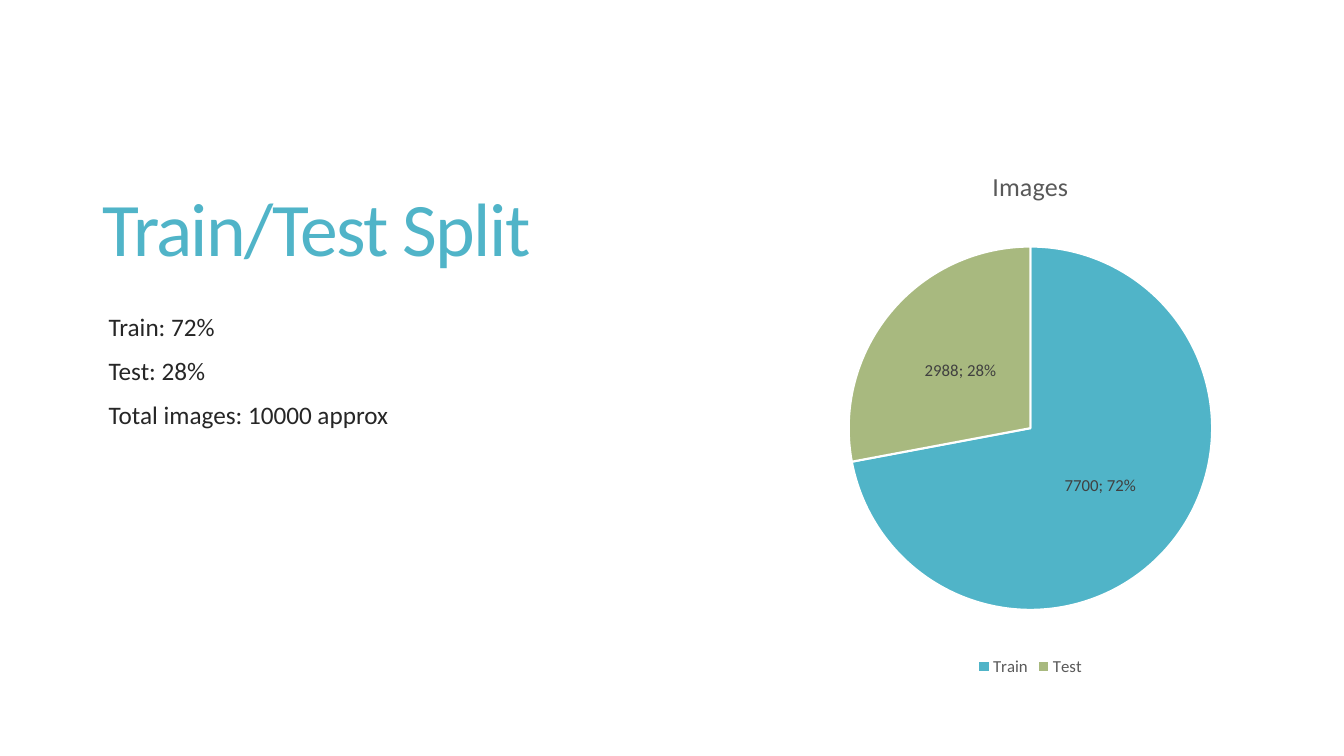
from dataclasses import dataclass

from lxml.etree import Element
from pptx import Presentation
from pptx.chart.data import CategoryChartData
from pptx.dml.color import RGBColor
from pptx.enum.chart import XL_CHART_TYPE, XL_LABEL_POSITION, XL_LEGEND_POSITION
from pptx.enum.text import MSO_ANCHOR
from pptx.oxml.ns import qn
from pptx.slide import Slide
from pptx.text.text import Font
from pptx.util import Inches, Pt

FACE = "Calibri"
TEAL = "50B4C8"


@dataclass
class Block:
    box: tuple[float, float, float, float]
    lines: list[str]
    size: float
    color: str
    anchor: MSO_ANCHOR = MSO_ANCHOR.TOP
    before: float = 0
    indent: float = 0
    track: float = 0


@dataclass
class Slice:
    name: str
    count: int
    color: str


BLOCKS = [
    Block((0.92, 1.46, 6.73, 1.29), ["Train/Test Split"], 54, TEAL,
          anchor=MSO_ANCHOR.BOTTOM, track=-1.2),
    Block((0.88, 3.09, 6.77, 3.66),
          ["Train: 72%", "Test: 28%", "Total images: 10000 approx"],
          18, "262626", before=13, indent=0.1),
]
SLICES = [Slice("Train", 7700, TEAL), Slice("Test", 2988, "A8B97F")]


def rgb(code: str) -> RGBColor:
    return RGBColor.from_string(code)


def style(font: Font, size: float, color: str) -> None:
    font.name = FACE
    font.size = Pt(size)
    font.bold = False
    font.color.rgb = rgb(color)


def add_text(slide: Slide, block: Block) -> None:
    frame = slide.shapes.add_textbox(*map(Inches, block.box)).text_frame
    frame.word_wrap = True
    frame.vertical_anchor = block.anchor
    for num, line in enumerate(block.lines):
        para = frame.add_paragraph() if num else frame.paragraphs[0]
        para.line_spacing = 0.85
        para.space_before = Pt(block.before)
        para._p.get_or_add_pPr().set("marL", str(Inches(block.indent)))
        run = para.add_run()
        run.text = line
        style(run.font, block.size, block.color)
        if block.track:
            run._r.get_or_add_rPr().set("spc", str(round(block.track * 100)))


def add_pie(slide: Slide, slices: list[Slice]) -> None:
    data = CategoryChartData()
    data.categories = [part.name for part in slices]
    data.add_series("Series 1", [part.count for part in slices])
    box = map(Inches, (8.28, 1.46, 3.88, 5.29))
    chart = slide.shapes.add_chart(XL_CHART_TYPE.PIE, *box, data).chart
    style(chart.font, 10, "000000")

    # Title and legend
    chart.has_title = True
    run = chart.chart_title.text_frame.paragraphs[0].add_run()
    run.text = "Images"
    style(run.font, 18.6, "595959")
    chart.has_legend = True
    chart.legend.position = XL_LEGEND_POSITION.BOTTOM
    chart.legend.include_in_layout = False
    style(chart.legend.font, 12, "595959")

    # Slices
    plot = chart.plots[0]
    plot.vary_by_categories = True
    for num, part in enumerate(slices):
        form = plot.series[0].points[num].format
        form.fill.solid()
        form.fill.fore_color.rgb = rgb(part.color)
        form.line.color.rgb = rgb("FFFFFF")
        form.line.width = Pt(1.5)

    # Value and percent labels
    labels = plot.series[0].data_labels
    labels.show_value = True
    labels.show_percentage = True
    labels.position = XL_LABEL_POSITION.CENTER
    style(labels.font, 12, "404040")
    mark = Element(qn("c:separator"))
    mark.text = "; "
    labels._element.find(qn("c:showBubbleSize")).addnext(mark)


def main() -> None:
    deck = Presentation()
    deck.slide_width = Inches(13.33)
    deck.slide_height = Inches(7.5)
    slide = deck.slides.add_slide(deck.slide_layouts[6])
    for block in BLOCKS:
        add_text(slide, block)
    add_pie(slide, SLICES)
    deck.save("out.pptx")


if __name__ == "__main__":
    main()
